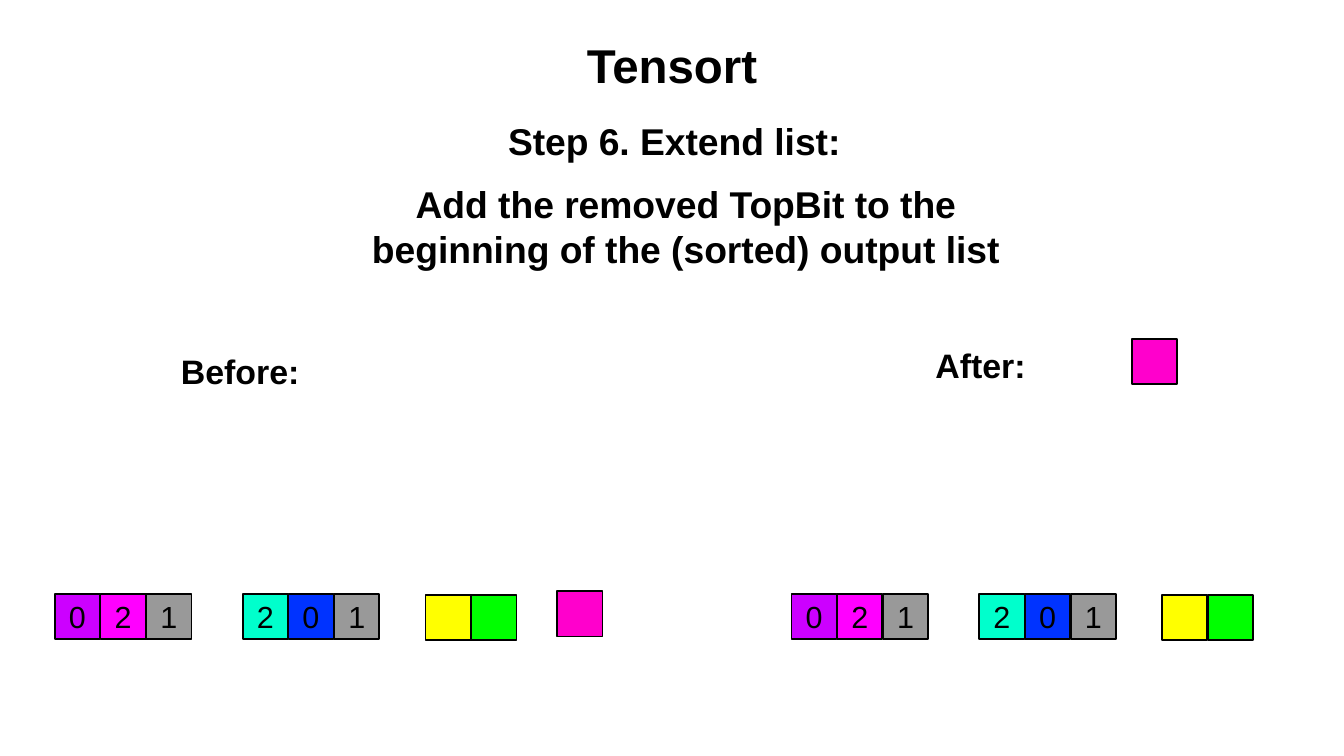
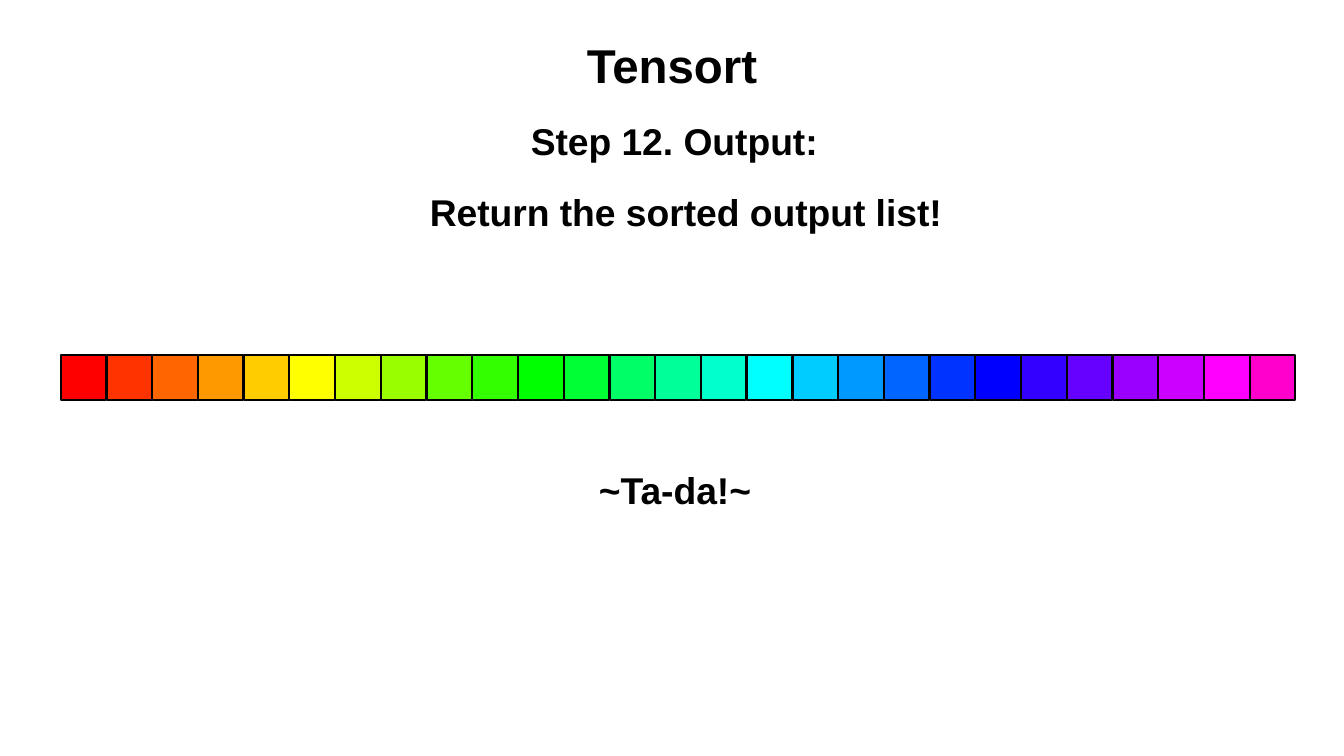
from colorsys import hsv_to_rgb
from dataclasses import dataclass

from pptx import Presentation
from pptx import util as u
from pptx.dml.color import RGBColor
from pptx.enum import shapes, text


@dataclass(frozen=True)
class Theme:
    font: str = "Arial"
    ink: RGBColor = RGBColor(0, 0, 0)
    gray: RGBColor = RGBColor(0x99, 0x99, 0x99)
    title: int = 28
    heading: int = 22
    label: int = 20
    digit: int = 18
    square: float = 0.37
    pitch: float = 0.375


THEME = Theme()

# The sorted list: the first 27 hues of a wheel of 30
SORTED_LIST = [
    RGBColor(*(round(part * 255) for part in hsv_to_rgb(step / 30, 1, 1)))
    for step in range(27)
]
YELLOW, GREEN, AQUA, BLUE, PURPLE, MAGENTA, TOP_BIT = (
    SORTED_LIST[step] for step in (5, 10, 14, 19, 24, 25, 26)
)

# Bytes that remain: offset from the list's corner, then (colour, digit) pairs
BYTES = [
    (0, 0, [(PURPLE, "0"), (MAGENTA, "2"), (THEME.gray, "1")]),
    (1.54, 0, [(AQUA, "2"), (BLUE, "0"), (THEME.gray, "1")]),
    (3.04, 0.01, [(YELLOW, ""), (GREEN, "")]),
]


def write(shape, lines, size, bold=True, inset=0.0, anchor=text.MSO_ANCHOR.MIDDLE):
    """Put centred lines, one paragraph each, into a shape."""
    frame = shape.text_frame
    frame_format = {
        "word_wrap": True,
        "auto_size": text.MSO_AUTO_SIZE.NONE,
        "vertical_anchor": anchor,
        "margin_left": u.Inches(inset),
        "margin_right": u.Inches(inset),
        "margin_top": u.Inches(inset / 2),
        "margin_bottom": u.Inches(inset / 2),
    }
    for name, value in frame_format.items():
        setattr(frame, name, value)
    frame.text = "\n".join(lines)
    for para in frame.paragraphs:
        para.alignment = text.PP_ALIGN.CENTER
        font_format = {"name": THEME.font, "size": u.Pt(size), "bold": bold}
        for name, value in font_format.items():
            setattr(para.font, name, value)
        para.font.color.rgb = THEME.ink


def add_label(slide, box, lines, size=THEME.heading, **frame_format):
    label = slide.shapes.add_textbox(*(u.Inches(length) for length in box))
    write(label, lines, size, **frame_format)


def add_heading(slide, box, *lines):
    add_label(slide, box, lines, inset=0.1, anchor=text.MSO_ANCHOR.TOP)


def add_squares(parent, left, top, cells):
    """Draw a row of squares from (colour, digit) pairs."""
    side = u.Inches(THEME.square)
    for index, (colour, digit) in enumerate(cells):
        square = parent.add_shape(
            shapes.MSO_SHAPE.RECTANGLE,
            u.Inches(left + index * THEME.pitch), u.Inches(top), side, side)
        square.shadow.inherit = False
        square.fill.solid()
        square.fill.fore_color.rgb = colour
        square.line.color.rgb = THEME.ink
        square.line.width = u.Pt(1)
        if digit:
            write(square, [digit], THEME.digit, bold=False)


def add_bytes(slide, left, top):
    for across, down, cells in BYTES:
        add_squares(slide.shapes, left + across, top + down, cells)


def add_step_slide(deck, step):
    """Start a slide with the shared title and its step heading."""
    slide = deck.slides.add_slide(deck.slide_layouts[5])
    title = slide.shapes.title
    places = {"left": 0.55, "top": 0.01, "width": 9.92, "height": 1.04}
    for name, value in places.items():
        setattr(title, name, u.Inches(value))
    write(title, ["Tensort"], THEME.title)
    add_heading(slide, (2.55, 0.92, 5.96, 0.78), step)
    return slide


def build_extend_slide(deck):
    slide = add_step_slide(deck, "Step 6. Extend list:")
    add_heading(slide, (1, 1.44, 9.25, 0.78),
                "Add the removed TopBit to the",
                "beginning of the (sorted) output list")

    # Before: the TopBit sits beside the bytes
    add_label(slide, (1.01, 2.67, 1.92, 0.75), ["Before:"], THEME.label)
    add_bytes(slide, 0.45, 4.87)
    add_squares(slide.shapes, 4.57, 4.85, [(TOP_BIT, "")])

    # After: the TopBit has moved to the output list
    add_label(slide, (7.08, 2.62, 1.92, 0.75), ["After:"], THEME.label)
    add_bytes(slide, 6.49, 4.87)
    add_squares(slide.shapes, 9.28, 2.78, [(TOP_BIT, "")])


def build_output_slide(deck):
    slide = add_step_slide(deck, "Step 12. Output:")
    add_heading(slide, (3.25, 1.5, 4.75, 1), "Return the sorted output list!")

    # Sorted output list
    output_list = slide.shapes.add_group_shape()
    add_squares(output_list.shapes, 0.5, 2.91,
                [(colour, "") for colour in SORTED_LIST])

    add_heading(slide, (3.16, 3.78, 4.75, 1), "~Ta-da!~")


def main():
    deck = Presentation()
    deck.slide_width = u.Inches(11.02)
    deck.slide_height = u.Inches(6.2)
    build_extend_slide(deck)
    build_output_slide(deck)
    deck.save("out.pptx")


if __name__ == "__main__":
    main()
